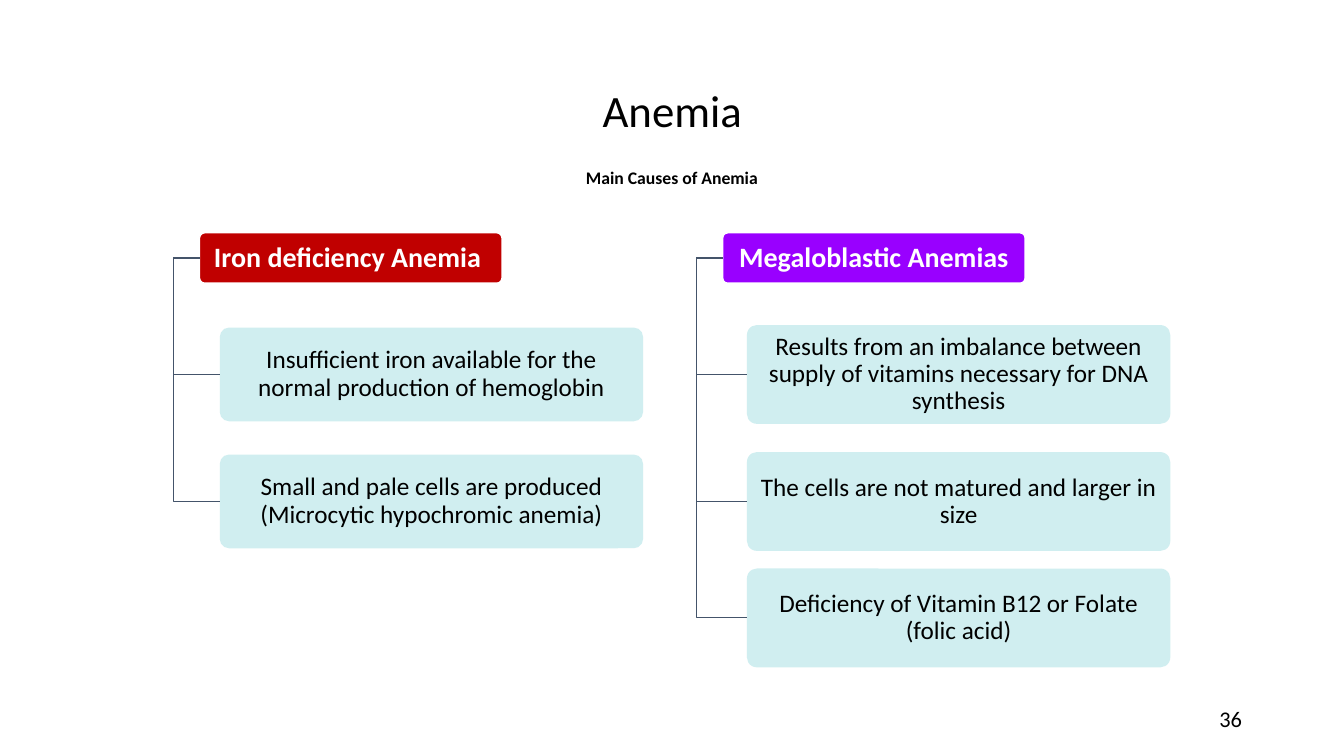
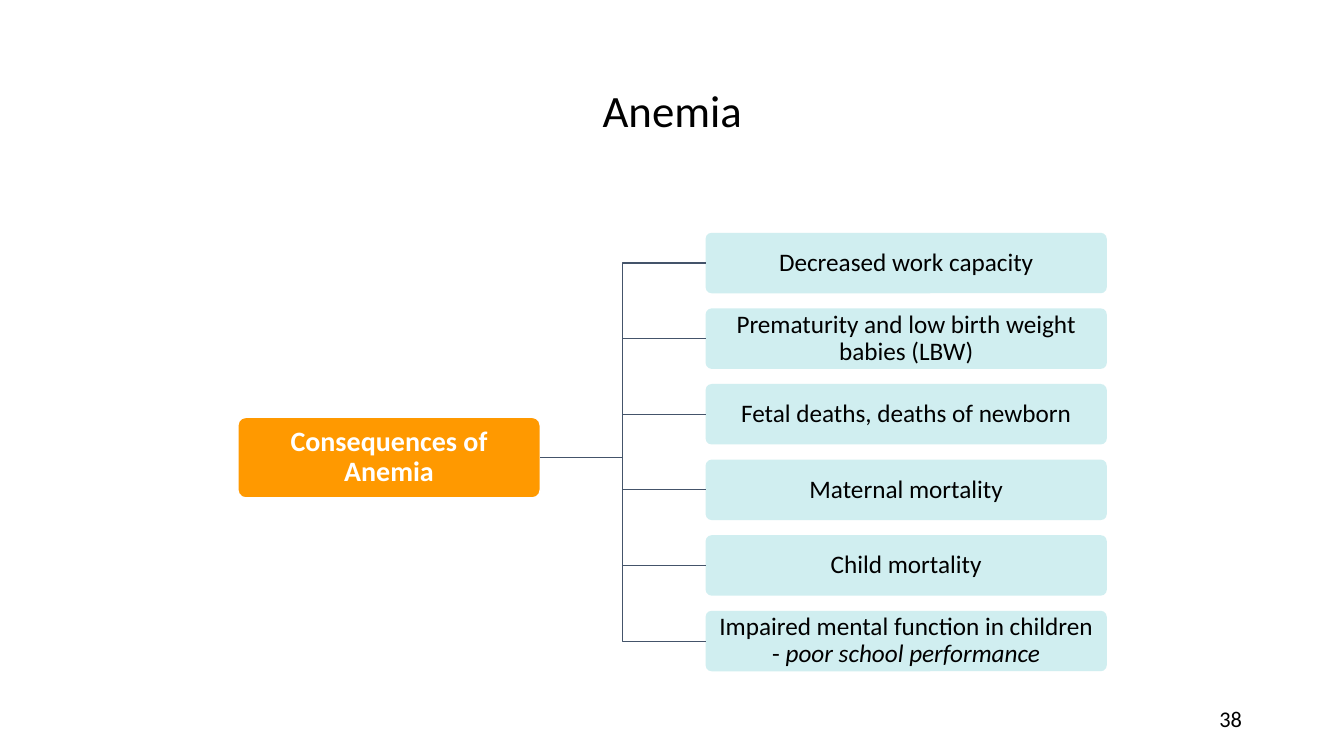
from dataclasses import dataclass
from lxml.etree import SubElement as Sub
from pptx import Presentation
from pptx.dml.color import RGBColor as RGB
from pptx.enum.shapes import MSO_CONNECTOR as Conn, MSO_SHAPE as Shape
from pptx.enum.text import MSO_ANCHOR as Anchor, MSO_AUTO_SIZE as Auto, PP_ALIGN as Align
from pptx.oxml.ns import qn
from pptx.util import Inches, Pt


@dataclass(frozen=True)
class Theme:
    font: str = "Calibri"
    ink: str = "000000"
    paper: str = "FFFFFF"
    wire: str = "44546A"
    leaf: str = "CBEDEF"
    red: str = "C00000"
    violet: str = "9900FF"
    orange: str = "FF9900"
    alpha: int = 89
    title: float = 32
    sub: float = 12.6
    head: float = 20
    body: float = 18
    page: float = 16


theme = Theme()

# Grid: 40 columns by 30 rows
deck = Presentation()
deck.slide_width, deck.slide_height = Inches(13.33), Inches(7.5)
col, row = deck.slide_width / 40, deck.slide_height / 30


def put(shape, box, text, size, ink=theme.ink, bold=False, align=Align.CENTER,
        space=0.9, anchor=Anchor.MIDDLE):
    """Place a shape by grid box and write its text; *stars* mark italics."""
    x, y, w, h = box
    shape.left, shape.top = int(x * col), int(y * row)
    shape.width, shape.height = int(w * col), int(h * row)
    frame = shape.text_frame
    frame.word_wrap, frame.auto_size = True, Auto.NONE
    frame.vertical_anchor = anchor
    para = frame.paragraphs[0]
    para.alignment, para.line_spacing, para.space_before = align, space, Pt(0)
    if shape.is_placeholder:
        props = para._p.get_or_add_pPr()
        props.set("marL", "0")
        props.set("indent", "0")
        Sub(props, qn("a:buNone"))
    font = para.font
    font.name, font.size, font.bold = theme.font, Pt(size), bold
    font.color.rgb = RGB.from_string(ink)
    for i, part in enumerate(text.split("*")):
        if part:
            run = para.add_run()
            run.text = part
            if i % 2:
                run.font.italic = True
    return shape


def link(shapes, start, end, bend):
    """Draw an elbow line whose upright stands at column bend."""
    (x1, y1), (x2, y2) = start, end
    wire = shapes.add_connector(Conn.ELBOW, int(x1 * col), int(y1 * row),
                                int(x2 * col), int(y2 * row))
    wire.line.color.rgb, wire.line.width = RGB.from_string(theme.wire), Pt(0.75)
    props = wire._element.spPr
    Sub(props, qn("a:effectLst"))
    turn = round((bend - x1) / (x2 - x1) * 100000)
    Sub(props.find(qn("a:prstGeom")).find(qn("a:avLst")), qn("a:gd"),
        name="adj1", fmla=f"val {turn}")


# Each tree: head text, fill, head (x, middle, w, h), upright column,
# leaf (x, w, h), leaf middles, leaf texts
top = 9.24
rows = [14.86, 19.9, 24.52]
causes = [
    ("Iron deficiency Anemia ", theme.red, (5.94, top + 1, 9, 2), 5.16,
     (6.54, 12.6, 3.72), rows,
     ["Insufficient iron available for the normal production of hemoglobin",
      "Small and pale cells are produced (Microcytic hypochromic anemia)"]),
    ("Megaloblastic Anemias", theme.violet, (21.51, top + 1, 9, 2), 20.73,
     (22.23, 12.6, 3.92), rows,
     ["Results from an imbalance between supply of vitamins necessary for DNA synthesis",
      "The cells are not matured and larger in size",
      "Deficiency of Vitamin B12 or Folate (folic acid)"]),
]
effects = [
    ("Consequences of Anemia", theme.orange, (7.08, 18.16, 9, 3.2), 18.54,
     (21, 11.94, 2.4), [top + 1.2 + 3 * i for i in range(6)],
     ["Decreased work capacity",
      "Prematurity and low birth weight babies (LBW)",
      "Fetal deaths, deaths of newborn",
      "Maternal mortality",
      "Child mortality",
      "Impaired mental function in children - *poor school performance*"]),
]

for plan, page, sub, trees in [(1, "36", "Main Causes of Anemia", causes),
                               (5, "38", None, effects)]:
    slide = deck.slides.add_slide(deck.slide_layouts[plan])
    shapes = slide.shapes

    # Title, subtitle and page number
    put(shapes.title, (6.39, 1.6, 27.24, 5.8), "Anemia", theme.title)
    if sub:
        put(slide.placeholders[1], (8.16, 6.36, 23.67, 1.6), sub, theme.sub,
            bold=True, space=0.7)
    put(shapes.add_textbox(0, 0, 0, 0), (28.26, 27.8, 9, 1.6), page, theme.page,
        align=Align.RIGHT, space=1, anchor=Anchor.TOP)

    for text, fill, (x, mid, w, h), bend, (left, wide, high), mids, leaves in trees:
        # Head and leaf cards
        cards = [((x, mid - h / 2, w, h), text, fill)]
        cards += [((left, y - high / 2, wide, high), leaf, theme.leaf)
                  for y, leaf in zip(mids, leaves)]
        for box, words, tint in cards:
            card = shapes.add_shape(Shape.ROUNDED_RECTANGLE, 0, 0, 0, 0)
            card.adjustments[0] = 0.1
            card.shadow.inherit = False
            card.fill.solid()
            card.fill.fore_color.rgb = RGB.from_string(tint)
            frame = card.text_frame
            frame.margin_top = frame.margin_bottom = Inches(0.1)
            if tint == theme.leaf:
                shade = card._element.spPr.find(qn("a:solidFill"))[0]
                Sub(shade, qn("a:alpha"), val=str(theme.alpha * 1000))
                card.line.fill.background()
                put(card, box, words, theme.body)
            else:
                card.line.color.rgb = RGB.from_string(theme.paper)
                card.line.width = Pt(1)
                put(card, box, words, theme.head, theme.paper, True)

        # Lines from the head's nearer edge to each leaf
        edge = x if bend < x else x + w
        for y, leaf in zip(mids, leaves):
            link(shapes, (edge, mid), (left, y), bend)

deck.save("out.pptx")
